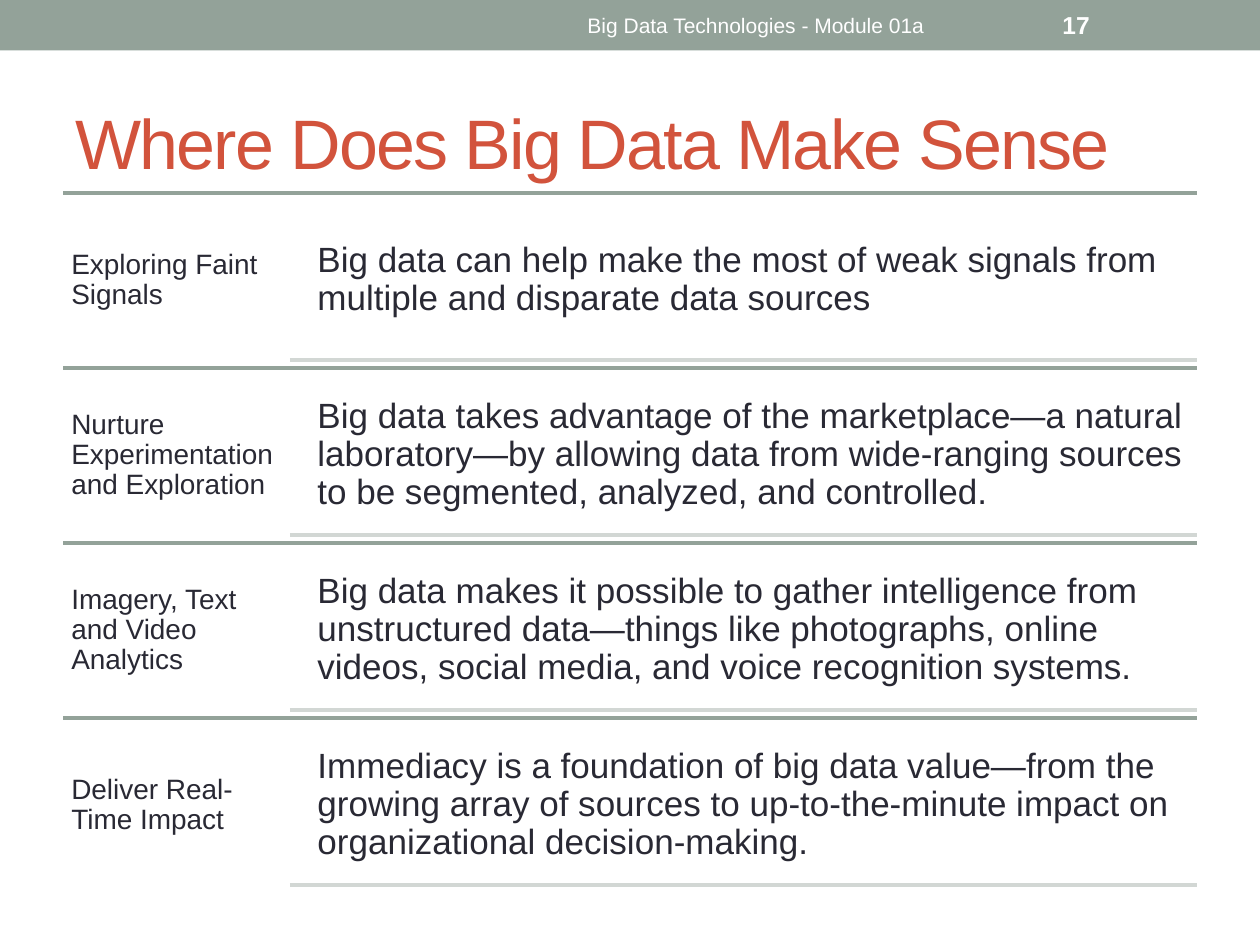
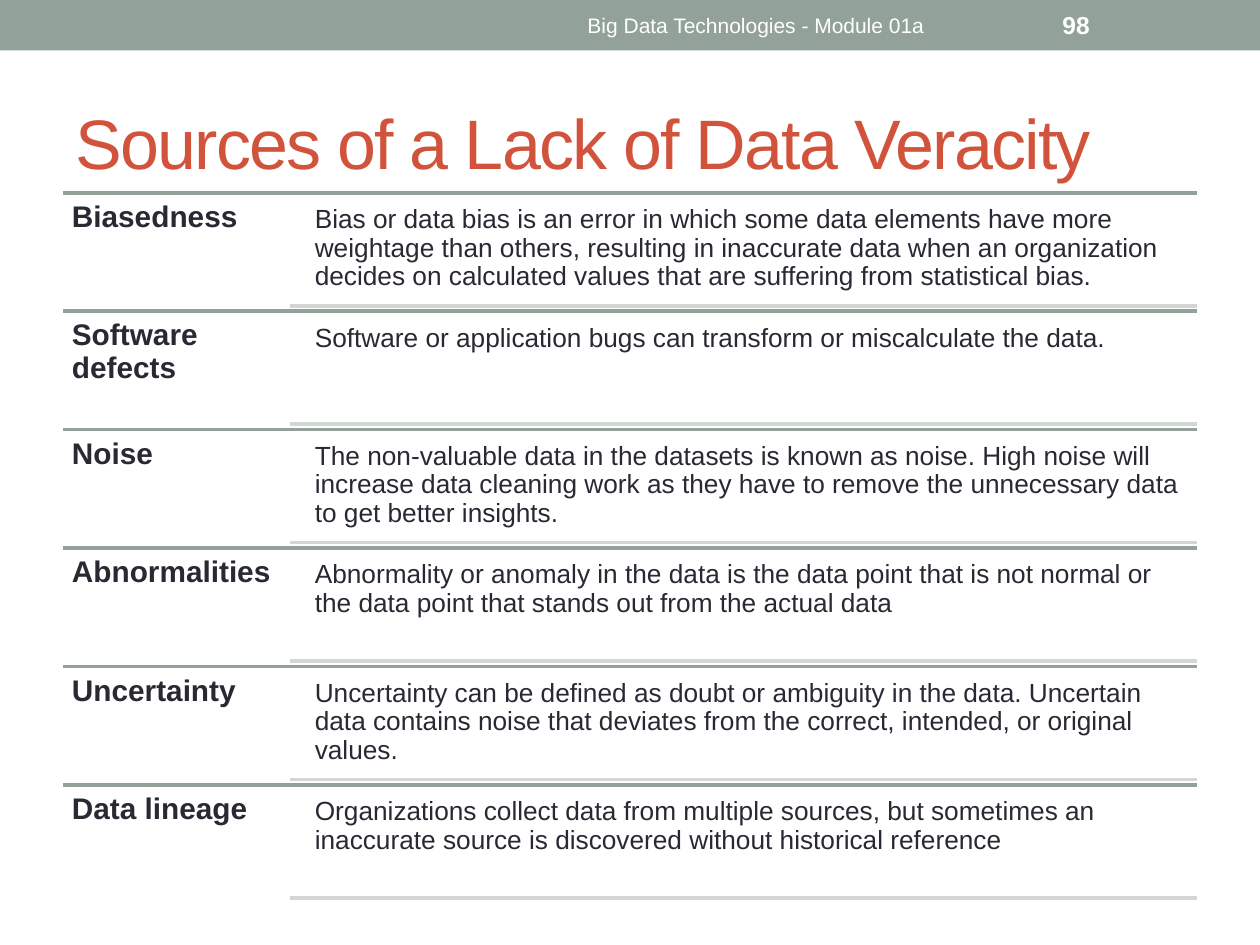
from dataclasses import dataclass

from lxml import etree
from pptx import Presentation
from pptx.dml.color import RGBColor
from pptx.enum.shapes import MSO_CONNECTOR, MSO_SHAPE
from pptx.enum.text import MSO_ANCHOR, PP_ALIGN
from pptx.oxml.ns import qn
from pptx.shapes.autoshape import Shape
from pptx.slide import Slide
from pptx.util import Pt

RECTANGLE = MSO_SHAPE.RECTANGLE
STRAIGHT = MSO_CONNECTOR.STRAIGHT
TOP, MIDDLE = MSO_ANCHOR.TOP, MSO_ANCHOR.MIDDLE
LEFT, CENTER = PP_ALIGN.LEFT, PP_ALIGN.CENTER

FONT = "Arial"
SAGE, PALE_SAGE = "93A299", "D2D7D4"
BRICK, INK, WHITE = "D2533C", "292934", "FFFFFF"

# Shared page geometry, in points
PAGE_WIDTH, PAGE_HEIGHT = 720, 540
BAND_HEIGHT = 28.8
MARGIN = 36
RIGHT_EDGE = PAGE_WIDTH - MARGIN
ROWS_TOP = 110.2
TERM_WIDTH = 129.6
DETAIL_LEFT, DETAIL_WIDTH = 175.4, 509
RULE_WEIGHT = 2.08
FOOTER = "Big Data Technologies - Module 01a"


@dataclass(frozen=True)
class Area:
    left: float
    top: float
    width: float
    height: float


@dataclass(frozen=True)
class TextStyle:
    size: float
    color: str = INK
    bold: bool = False
    align: PP_ALIGN = LEFT
    anchor: MSO_ANCHOR = MIDDLE
    inset_x: float = 7.2
    inset_y: float = 3.6
    line_spacing: float = 1.0


@dataclass(frozen=True)
class Row:
    term: str
    detail: str


@dataclass(frozen=True)
class RowStyle:
    height: float
    gap: float  # between the row edge and its detail text
    term: TextStyle
    detail: TextStyle


@dataclass(frozen=True)
class Page:
    title: str
    number: str
    style: RowStyle
    rows: tuple[Row, ...]


TITLE_STYLE = TextStyle(40, BRICK)
FOOTER_STYLE = TextStyle(12, WHITE, align=CENTER)
NUMBER_STYLE = TextStyle(14, WHITE, bold=True)

TALL_ROWS = RowStyle(
    100, 4.55,
    TextStyle(16, inset_x=4.8, inset_y=4.8, line_spacing=0.9),
    TextStyle(20, inset_x=6, inset_y=6, line_spacing=0.9),
)
SHORT_ROWS = RowStyle(
    67.65, 3.1,
    TextStyle(17, bold=True, anchor=TOP, inset_x=5.1, inset_y=5.1, line_spacing=0.9),
    TextStyle(15, anchor=TOP, inset_x=4.5, inset_y=4.5, line_spacing=0.9),
)

PAGES = (
    Page("Where Does Big Data Make Sense", "17", TALL_ROWS, (
        Row("Exploring Faint Signals",
            "Big data can help make the most of weak signals from multiple and "
            "disparate data sources"),
        Row("Nurture Experimentation and Exploration",
            "Big data takes advantage of the marketplace—a natural laboratory—by "
            "allowing data from wide-ranging sources to be segmented, analyzed, "
            "and controlled."),
        Row("Imagery, Text and Video Analytics",
            "Big data makes it possible to gather intelligence from unstructured "
            "data—things like photographs, online videos, social media, and voice "
            "recognition systems."),
        Row("Deliver Real-Time Impact",
            "Immediacy is a foundation of big data value—from the growing array of "
            "sources to up-to-the-minute impact on organizational decision-making."),
    )),
    Page("Sources of a Lack of Data Veracity", "98", SHORT_ROWS, (
        Row("Biasedness",
            "Bias or data bias is an error in which some data elements have more "
            "weightage than others, resulting in inaccurate data when an "
            "organization decides on calculated values that are suffering from "
            "statistical bias."),
        Row("Software defects",
            "Software or application bugs can transform or miscalculate the data."),
        Row("Noise",
            "The non-valuable data in the datasets is known as noise. High noise "
            "will increase data cleaning work as they have to remove the "
            "unnecessary data to get better insights."),
        Row("Abnormalities",
            "Abnormality or anomaly in the data is the data point that is not "
            "normal or the data point that stands out from the actual data"),
        Row("Uncertainty",
            "Uncertainty can be defined as doubt or ambiguity in the data. "
            "Uncertain data contains noise that deviates from the correct, "
            "intended, or original values."),
        Row("Data lineage",
            "Organizations collect data from multiple sources, but sometimes an "
            "inaccurate source is discovered without historical reference"),
    )),
)


def rgb(color: str) -> RGBColor:
    return RGBColor.from_string(color)


def add_text(slide: Slide, area: Area, text: str, style: TextStyle) -> Shape:
    box = slide.shapes.add_textbox(
        Pt(area.left), Pt(area.top), Pt(area.width), Pt(area.height))
    frame = box.text_frame
    frame.word_wrap = True
    frame.vertical_anchor = style.anchor
    frame.margin_left = frame.margin_right = Pt(style.inset_x)
    frame.margin_top = frame.margin_bottom = Pt(style.inset_y)
    frame.text = text
    para = frame.paragraphs[0]
    para.alignment = style.align
    para.line_spacing = style.line_spacing
    for span in para.runs:
        span.font.name = FONT
        span.font.size = Pt(style.size)
        span.font.bold = style.bold
        span.font.color.rgb = rgb(style.color)
    return box


def add_rule(slide: Slide, left: float, top: float, color: str) -> None:
    rule = slide.shapes.add_connector(
        STRAIGHT, Pt(left), Pt(top), Pt(RIGHT_EDGE), Pt(top))
    rule.line.color.rgb = rgb(color)
    rule.line.width = Pt(RULE_WEIGHT)
    etree.SubElement(rule.element.find(qn("p:spPr")), qn("a:effectLst"))


def add_frame(slide: Slide, page: Page) -> None:
    # Top band with footer text and page number
    band = slide.shapes.add_shape(RECTANGLE, 0, 0, Pt(PAGE_WIDTH), Pt(BAND_HEIGHT))
    band.shadow.inherit = False
    band.fill.solid()
    band.fill.fore_color.rgb = rgb(SAGE)
    band.line.fill.background()
    add_text(slide, Area(270, 1.4, 324, 26), FOOTER, FOOTER_STYLE)
    add_text(slide, Area(600, 1.4, 84, 26), page.number, NUMBER_STYLE)

    # Title with tightened letter spacing
    title = add_text(slide, Area(MARGIN, 42, 648, 78), page.title, TITLE_STYLE)
    for properties in title.element.iter(qn("a:rPr")):
        properties.set("spc", "-100")


def add_row(slide: Slide, row: Row, top: float, style: RowStyle) -> None:
    detail = Area(DETAIL_LEFT, top + style.gap, DETAIL_WIDTH,
                  style.height - 2 * style.gap)
    add_rule(slide, MARGIN, top, SAGE)
    add_text(slide, Area(MARGIN, top, TERM_WIDTH, style.height), row.term, style.term)
    add_text(slide, detail, row.detail, style.detail)
    add_rule(slide, MARGIN + TERM_WIDTH, detail.top + detail.height, PALE_SAGE)


def main() -> None:
    deck = Presentation()
    deck.slide_width, deck.slide_height = Pt(PAGE_WIDTH), Pt(PAGE_HEIGHT)
    blank = deck.slide_layouts[6]
    for page in PAGES:
        slide = deck.slides.add_slide(blank)
        add_frame(slide, page)
        for index, row in enumerate(page.rows):
            add_row(slide, row, ROWS_TOP + index * page.style.height, page.style)
    deck.save("out.pptx")


if __name__ == "__main__":
    main()
